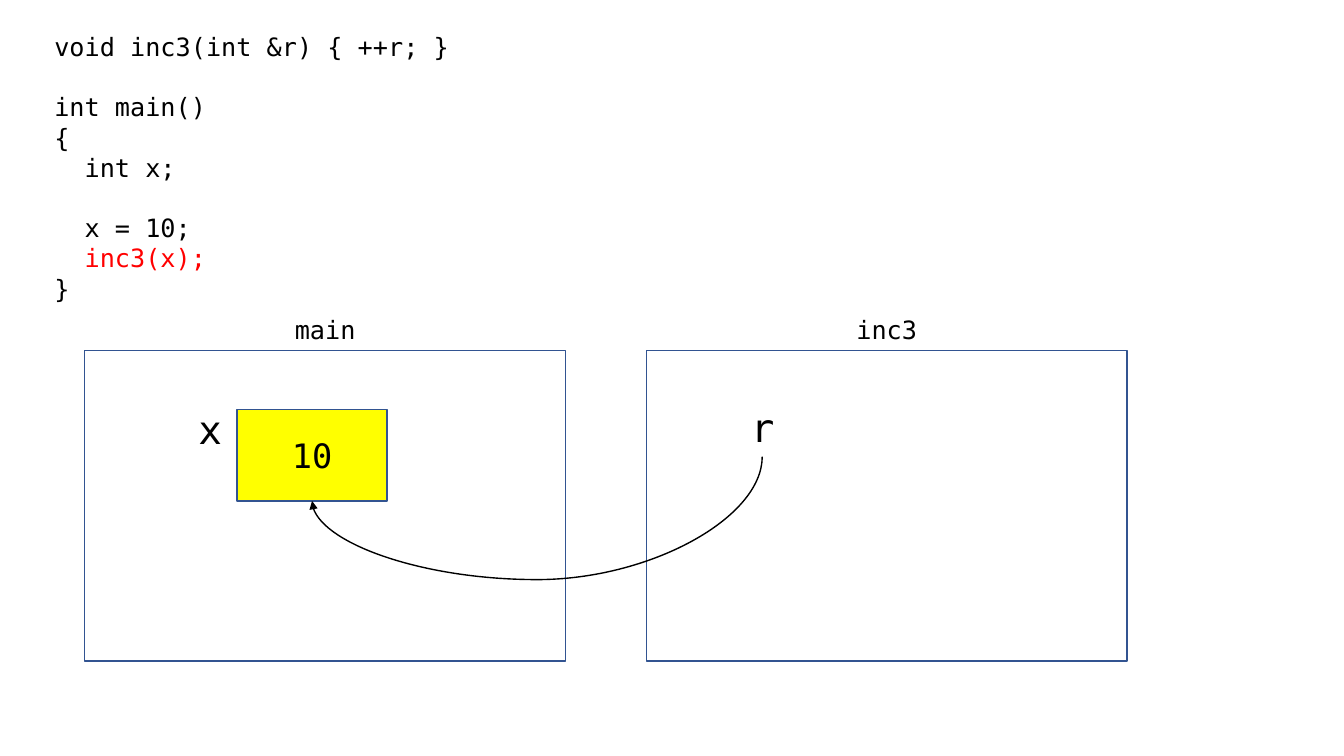
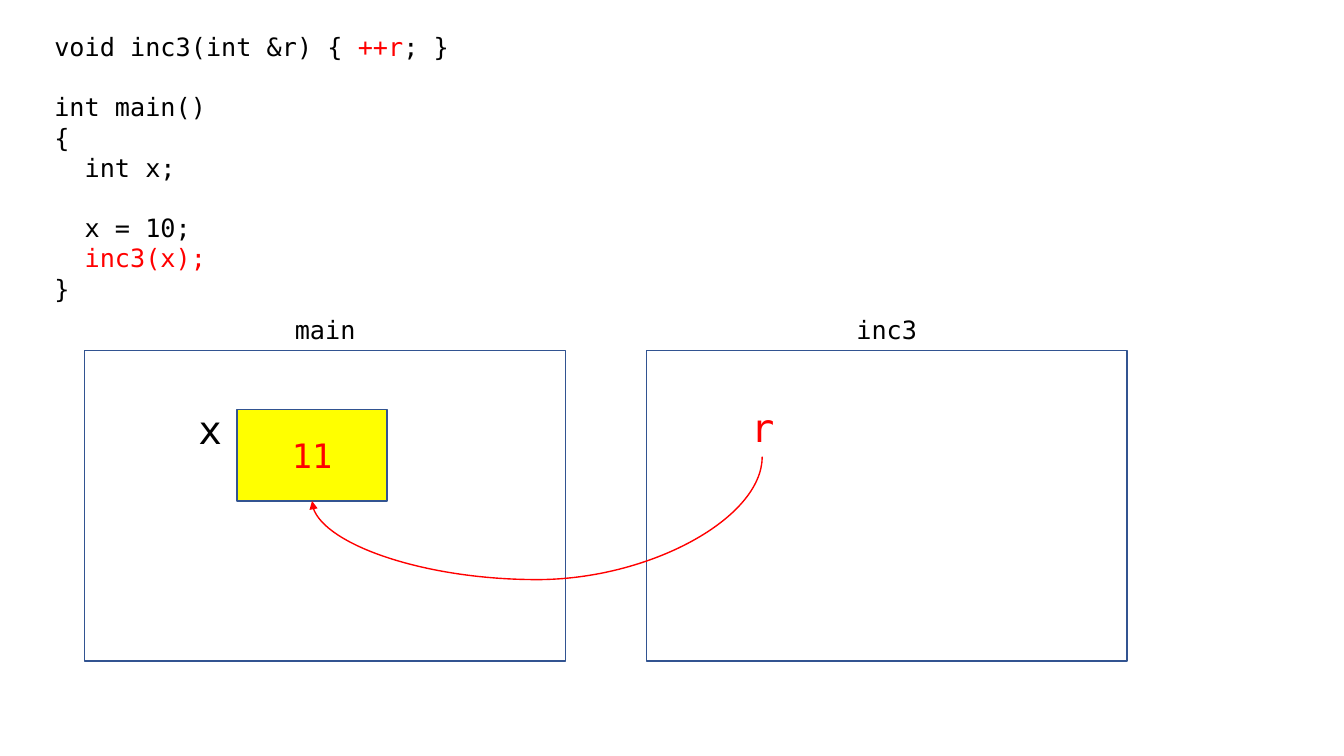
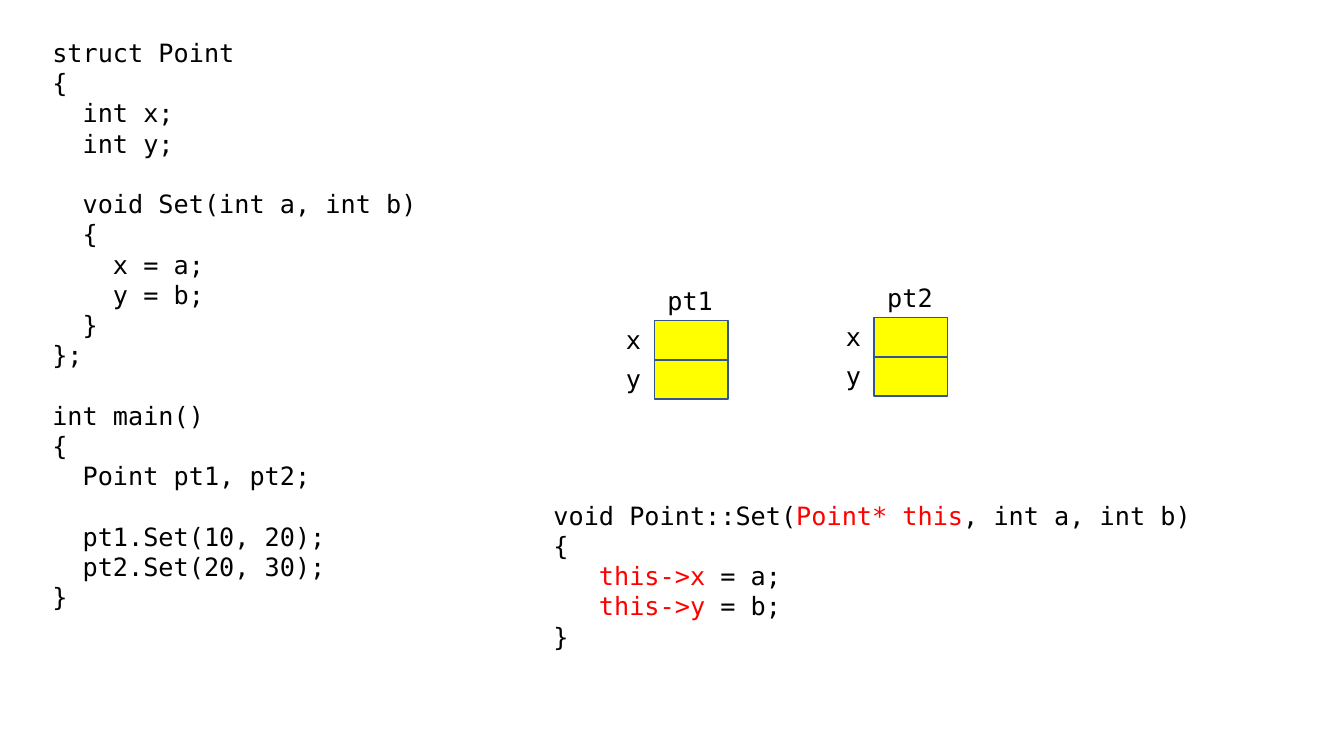
from dataclasses import dataclass
from typing import NamedTuple

from lxml.etree import SubElement
from pptx import Presentation
from pptx.dml.color import RGBColor
from pptx.enum.shapes import MSO_CONNECTOR, MSO_SHAPE
from pptx.enum.text import MSO_ANCHOR, MSO_AUTO_SIZE, PP_ALIGN
from pptx.oxml.ns import qn
from pptx.shapes.autoshape import Shape
from pptx.slide import Slide
from pptx.text.text import TextFrame
from pptx.util import Inches, Pt


@dataclass(frozen=True)
class Theme:
    font: str = "DejaVu Sans Mono"
    ink: RGBColor = RGBColor(0, 0, 0)
    accent: RGBColor = RGBColor(0xFF, 0, 0)
    paper: RGBColor = RGBColor(0xFF, 0xFF, 0xFF)
    memory: RGBColor = RGBColor(0xFF, 0xFF, 0)
    outline: RGBColor = RGBColor(0x32, 0x54, 0x91)
    code_size: float = 18
    value_size: float = 24
    variable_size: float = 28
    code_line: float = 21.6  # height of one line of code, in points
    line_width: float = 1


THEME = Theme()
LABEL_HEIGHT = 0.4


class Box(NamedTuple):
    left: float
    top: float
    width: float
    height: float

    @property
    def center(self) -> float:
        return self.left + self.width / 2

    @property
    def bottom(self) -> float:
        return self.top + self.height

    def lengths(self) -> list[Inches]:
        return [Inches(side) for side in self]


@dataclass(frozen=True)
class CallStep:
    """One moment of the call by reference; |bars| mark highlighted code."""
    inc3_code: str
    x_value: str
    reference_color: RGBColor


@dataclass(frozen=True)
class PointObject:
    name: str
    left: float
    top: float


CALL_STEPS = (
    CallStep("void inc3(int &r) { ++r; }", "10", THEME.ink),
    CallStep("void inc3(int &r) { |++r|; }", "11", THEME.accent),
)
MAIN_CODE = """

int main()
{
  int x;

  x = 10;
|  inc3(x);|
}"""

POINT_CODE = """struct Point
{
  int x;
  int y;

  void Set(int a, int b)
  {
    x = a;
    y = b;
  }
};

int main()
{
  Point pt1, pt2;

  pt1.Set(10, 20);
  pt2.Set(20, 30);
}"""
SET_CODE = """ void Point::Set(|Point* this|, int a, int b)
 {
    |this->x |= a;
    |this->y| = b;
 }"""
POINTS = (PointObject("pt1", 6.49, 3.18), PointObject("pt2", 8.67, 3.15))

# Stack frames and the variable inside main
MAIN_FRAME = Box(0.84, 3.48, 4.77, 3.08)
INC3_FRAME = MAIN_FRAME._replace(left=6.41)
X_CELL = Box(2.35, 4.06, 1.49, 0.91)
X_NAME = Box(1.87, 3.97, 0.42, 0.57)
R_NAME = Box(7.35, 3.95, 0.42, 0.57)
CURVE_LOW = 5.75


def write(frame: TextFrame, text: str, size: float, color: RGBColor,
          align: PP_ALIGN = PP_ALIGN.LEFT) -> None:
    """Write lines, turning blank ones into space before the next line."""
    frame.word_wrap = True
    gap, started = 0.0, False
    for line in text.split("\n"):
        if not line:
            gap += THEME.code_line
            continue
        paragraph = frame.add_paragraph() if started else frame.paragraphs[0]
        started = True
        paragraph.alignment = align
        if gap:
            paragraph.space_before = Pt(gap)
            gap = 0.0
        # Every second piece between bars is highlighted
        pieces = [(piece, THEME.accent if index % 2 else color)
                  for index, piece in enumerate(line.split("|")) if piece]
        font = paragraph.font
        font.name, font.size = THEME.font, Pt(size)
        font.color.rgb = pieces[0][1] if len(pieces) == 1 else color
        for piece, piece_color in pieces:
            run = paragraph.add_run()
            run.text = piece
            if len(pieces) > 1 and piece_color != color:
                run.font.color.rgb = piece_color


def add_text(slide: Slide, box: Box, text: str, size: float = THEME.code_size,
             color: RGBColor = THEME.ink,
             align: PP_ALIGN = PP_ALIGN.LEFT) -> None:
    frame = slide.shapes.add_textbox(*box.lengths()).text_frame
    write(frame, text, size, color, align)
    frame.auto_size = MSO_AUTO_SIZE.SHAPE_TO_FIT_TEXT


def add_label(slide: Slide, center: float, bottom: float, width: float,
              text: str) -> None:
    box = Box(center - width / 2, bottom - LABEL_HEIGHT, width, LABEL_HEIGHT)
    add_text(slide, box, text, align=PP_ALIGN.CENTER)


def add_rectangle(slide: Slide, box: Box, fill: RGBColor) -> Shape:
    rectangle = slide.shapes.add_shape(MSO_SHAPE.RECTANGLE, *box.lengths())
    rectangle.shadow.inherit = False
    rectangle.fill.solid()
    rectangle.fill.fore_color.rgb = fill
    rectangle.line.color.rgb = THEME.outline
    rectangle.line.width = Pt(THEME.line_width)
    return rectangle


def add_reference_arrow(slide: Slide, color: RGBColor) -> None:
    """Curve from under r, down and back up to the cell of x."""
    start_x, start_y = R_NAME.center, R_NAME.bottom + 0.01
    end_x, end_y = X_CELL.center, X_CELL.bottom
    # The curve is laid out sideways and then turned by 90 degrees
    rise, run = end_y - start_y, start_x - end_x
    left = (start_x + end_x - rise) / 2
    top = (start_y + end_y - run) / 2
    arrow = slide.shapes.add_connector(
        MSO_CONNECTOR.CURVE, Inches(left), Inches(top),
        Inches(left + rise), Inches(top + run))
    arrow.line.color.rgb = color
    arrow.line.width = Pt(THEME.line_width)
    properties = arrow._element.spPr
    properties.find(qn("a:xfrm")).set("rot", str(90 * 60000))
    adjustments = properties.find(qn("a:prstGeom")).get_or_add_avLst()
    bend = round((CURVE_LOW - start_y) / rise * 100000)
    SubElement(adjustments, qn("a:gd"), name="adj1", fmla=f"val {bend}")
    SubElement(properties.find(qn("a:ln")), qn("a:tailEnd"), type="triangle")
    SubElement(properties, qn("a:effectLst"))


def draw_call(slide: Slide, step: CallStep) -> None:
    add_text(slide, Box(0.44, 0.26, 6.67, 2.83), step.inc3_code + MAIN_CODE)
    for name, frame in (("main", MAIN_FRAME), ("inc3", INC3_FRAME)):
        add_rectangle(slide, frame, THEME.paper)
        add_label(slide, frame.center, frame.top - 0.01, 1.06, name)
    x_cell = add_rectangle(slide, X_CELL, THEME.memory).text_frame
    x_cell.vertical_anchor = MSO_ANCHOR.MIDDLE
    write(x_cell, step.x_value, THEME.value_size, step.reference_color,
          PP_ALIGN.CENTER)
    add_text(slide, X_NAME, "x", THEME.variable_size)
    add_text(slide, R_NAME, "r", THEME.variable_size, step.reference_color)
    add_reference_arrow(slide, step.reference_color)


def draw_point(slide: Slide, point: PointObject) -> None:
    cell = Box(point.left, point.top, 0.73, 0.39)
    for row, member in enumerate("xy"):
        top = cell.top + row * cell.height
        add_rectangle(slide, cell._replace(top=top), THEME.memory)
        add_text(slide, Box(cell.left - 0.38, top - 0.01, 0.38, LABEL_HEIGHT),
                 member)
    add_label(slide, cell.center - 0.01, cell.top, 0.74, point.name)


def main() -> None:
    deck = Presentation()
    deck.slide_width, deck.slide_height = Inches(13.33), Inches(7.5)
    blank = deck.slide_layouts[6]

    # Call by reference, before and after the increment
    for step in CALL_STEPS:
        draw_call(deck.slides.add_slide(blank), step)

    # Member function and its hidden this pointer
    members = deck.slides.add_slide(blank)
    add_text(members, Box(0.42, 0.32, 4.59, 5.86), POINT_CODE)
    for point in POINTS:
        draw_point(members, point)
    add_text(members, Box(5.24, 4.91, 6.95, 1.62), SET_CODE)

    deck.save("out.pptx")


if __name__ == "__main__":
    main()
